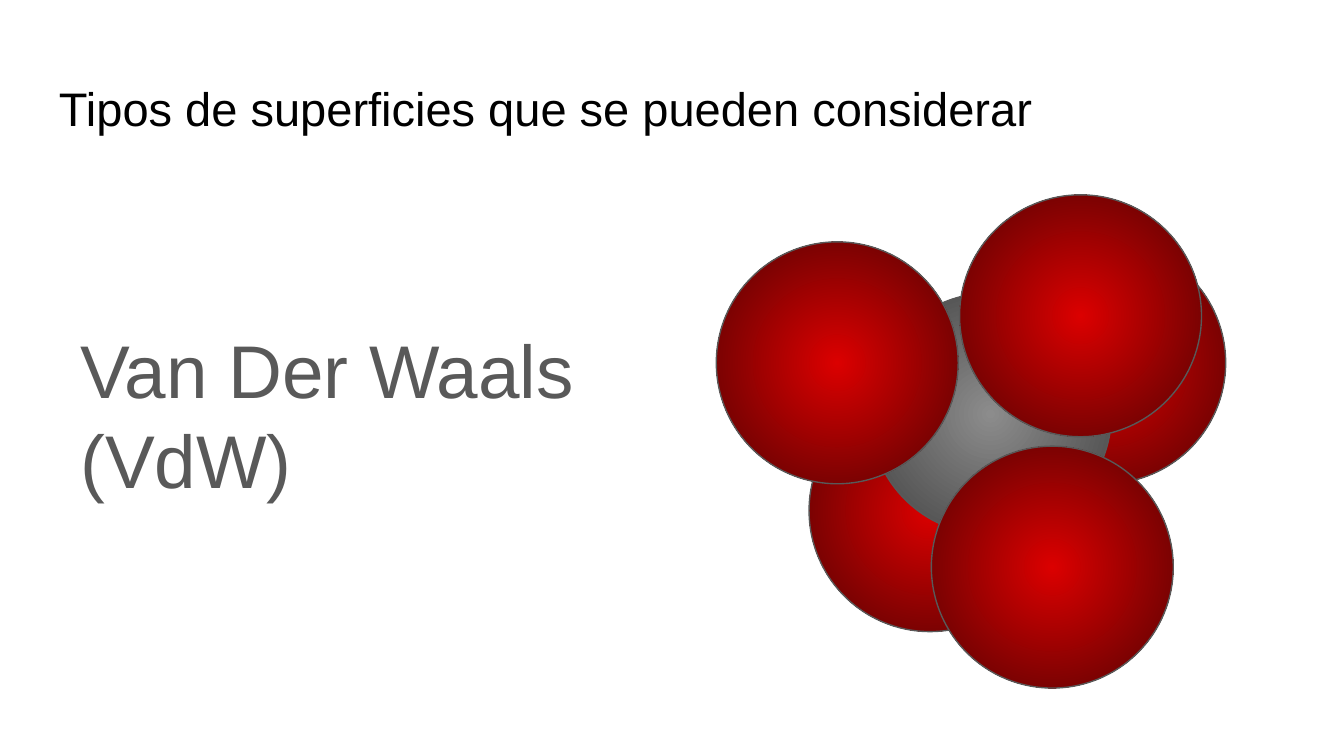
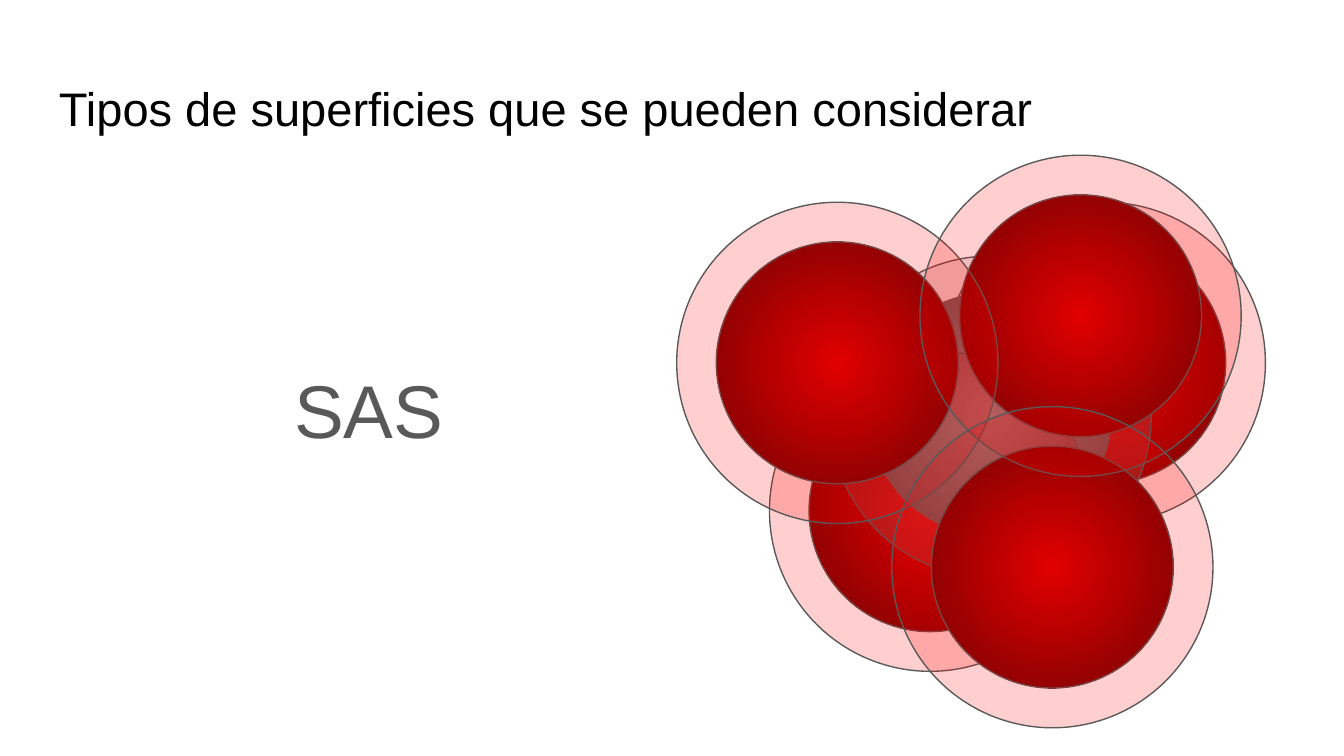
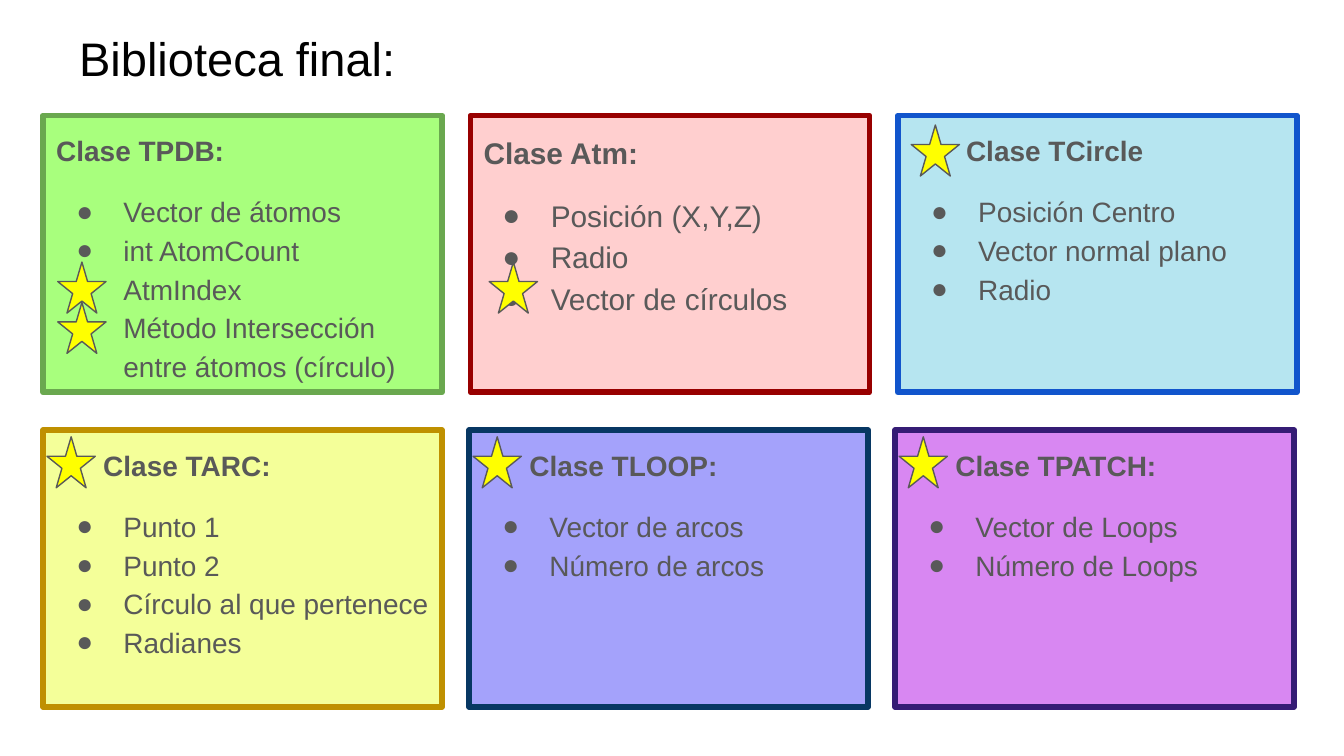
from lxml.etree import SubElement
from pptx import Presentation
from pptx.dml.color import RGBColor
from pptx.enum.shapes import MSO_SHAPE
from pptx.enum.text import MSO_ANCHOR, PP_ALIGN
from pptx.oxml.ns import qn
from pptx.util import Pt

PX = 9144  # 100 px to the inch
FONT = "Arial"
BLACK, GRAY, YELLOW, RED = "000000", "595959", "FFFF00", "FF0000"
INSET = 10

# Molecule: centre of each atom, and (inner, outer) gradient colours
ATOMS = {
    "right": (822, 270),
    "lower left": (692, 380),
    "carbon": (737, 308),
    "bottom": (783, 422),
    "left": (623, 270),
    "top": (804, 235),
}
OXYGEN_COLORS = ("DB0000", "540303")
CARBON_COLORS = ("8C8C8C", "404040")
ATOM_SIZE, HALO_SIZE = 180, 239
CARBON_HALO_DROP = 2

# Surface slides: label, its box, and the drawing order of (part, atom)
SURFACE_TITLE = "Tipos de superficies que se pueden considerar"
VDW_BOX = (50, 231, 412, 158)
SAS_BOX = (209, 261, 132, 81)
VDW_PARTS = [("atom", name) for name in ATOMS]
SAS_PARTS = [
    ("atom", "right"), ("halo", "right"),
    ("atom", "lower left"), ("atom", "carbon"),
    ("halo", "carbon"), ("halo", "lower left"),
    ("atom", "bottom"), ("atom", "left"), ("atom", "top"),
    ("halo", "left"), ("halo", "top"), ("halo", "bottom"),
]

# Class cards: heading, heading indent, text size, (fill, opacity), border,
# items, star offsets from the card corner
CARD_ROWS = [
    (86, 318, [
        ("Clase TPDB:", 0, 15, ("7BFF3A", 66), "6AA84F",
         ["Vector de átomos", "int AtomCount", "AtmIndex",
          "Método Intersección entre átomos (círculo)"],
         [(11, 139), (11, 109)]),
        ("Clase Atm:", 0, 16, (RED, 19), "980000",
         ["Posición (X,Y,Z)", "Radio", "Vector de círculos"],
         [(14, 109)]),
        ("Clase TCircle", 41, 15, ("4ABFDA", 40), "1155CC",
         ["Posición Centro", "Vector normal plano", "Radio"],
         [(10, 7)]),
    ]),
    (320, 317, [
        ("Clase TARC:", 35, 15, ("F0FF67", 67), "BF9000",
         ["Punto 1", "Punto 2", "Círculo al que pertenece", "Radianes"],
         [(3, 5)]),
        ("Clase TLOOP:", 35, 15, ("3F3AF7", 47), "073763",
         ["Vector de arcos", "Número de arcos"],
         [(3, 5)]),
        ("Clase TPATCH:", 35, 15, ("C54DED", 67), "351C75",
         ["Vector de Loops", "Número de Loops"],
         [(3, 5)]),
    ]),
]
CARD_LEFT, CARD_WIDTH, CARD_HEIGHT = 32, 297, 206
STAR_SIZE = (36, 38)


def emu(px):
    return int(px * PX)


def rgb(color):
    return RGBColor.from_string(color)


def style_font(para, size, color, bold=False):
    for span in para.runs:
        span.font.name = FONT
        span.font.size = Pt(size)
        span.font.bold = bold
        span.font.color.rgb = rgb(color)


def prepare_frame(frame, right_inset=INSET):
    frame.word_wrap = True
    frame.vertical_anchor = MSO_ANCHOR.TOP
    frame.margin_left = frame.margin_top = frame.margin_bottom = emu(INSET)
    frame.margin_right = emu(right_inset)


def add_text(page, area, text, size, color):
    box = page.shapes.add_textbox(*map(emu, area))
    prepare_frame(box.text_frame)
    box.text_frame.text = text
    style_font(box.text_frame.paragraphs[0], size, color)


def add_title(page, text, left, top):
    add_text(page, (left, top, 932, 63), text, 25.2, BLACK)


def add_outlined(shapes, kind, area, line=GRAY, width=0.75):
    shape = shapes.add_shape(kind, *map(emu, area))
    shape.shadow.inherit = False
    shape.line.color.rgb = rgb(line)
    shape.line.width = Pt(width)
    return shape


def fill_solid(shape, color, opacity=100):
    shape.fill.solid()
    shape.fill.fore_color.rgb = rgb(color)
    if opacity < 100:
        tone = shape.element.spPr.find(f"{qn('a:solidFill')}/{qn('a:srgbClr')}")
        SubElement(tone, qn("a:alpha"), val=str(opacity * 1000))


def fill_radial(shape, colors):
    shape.fill.gradient()
    for stop, color in zip(shape.fill.gradient_stops, colors):
        stop.color.rgb = rgb(color)
    gradient = shape.element.spPr.find(qn("a:gradFill"))
    gradient.remove(gradient.find(qn("a:lin")))
    circle = SubElement(gradient, qn("a:path"), path="circle")
    SubElement(circle, qn("a:fillToRect"), l="50000", t="50000", r="50000", b="50000")


def add_ball(shapes, part, name):
    size = ATOM_SIZE if part == "atom" else HALO_SIZE
    x, y = ATOMS[name]
    if (part, name) == ("halo", "carbon"):
        y += CARBON_HALO_DROP
    ball = add_outlined(shapes, MSO_SHAPE.OVAL, (x - size / 2, y - size / 2, size, size))
    if part == "atom":
        fill_radial(ball, CARBON_COLORS if name == "carbon" else OXYGEN_COLORS)
    elif name == "carbon":
        fill_solid(ball, "9D9D9D", 20)
    else:
        fill_solid(ball, RED, 19)


def add_surface_page(deck, label, area, parts, grouped):
    page = deck.slides.add_slide(deck.slide_layouts[6])
    add_title(page, SURFACE_TITLE, 34, 49)
    shapes = page.shapes.add_group_shape().shapes if grouped else page.shapes
    for part, name in parts:
        add_ball(shapes, part, name)
    add_text(page, area, label, 40, GRAY)


def indent(para, left, first=0):
    properties = para._p.get_or_add_pPr()
    properties.set("marL", str(emu(left)))
    properties.set("indent", str(emu(first)))
    return properties


def add_bullet(para, size):
    properties = indent(para, 50, -36 if size == 16 else -35)
    tone = SubElement(properties, qn("a:buClr"))
    SubElement(tone, qn("a:srgbClr"), val=GRAY)
    SubElement(properties, qn("a:buFont"), typeface=FONT)
    SubElement(properties, qn("a:buChar"), char="●")


def add_card(page, left, top, heading, heading_indent, size, fill, border, items, stars):
    card = add_outlined(page.shapes, MSO_SHAPE.RECTANGLE,
                        (left, top, CARD_WIDTH, CARD_HEIGHT), border, 3)
    fill_solid(card, *fill)
    frame = card.text_frame
    prepare_frame(frame, right_inset=8)
    frame.text = "\n".join([heading, *items])
    for number, para in enumerate(frame.paragraphs):
        if number == 0:
            indent(para, heading_indent)
        else:
            add_bullet(para, size)
        para.alignment = PP_ALIGN.LEFT
        para.line_spacing = 1.15
        if number == 1:
            para.space_before = Pt(12)
        style_font(para, size, GRAY, bold=number == 0)
    for dx, dy in stars:
        star = add_outlined(page.shapes, MSO_SHAPE.STAR_5_POINT,
                            (left + dx, top + dy, *STAR_SIZE))
        fill_solid(star, YELLOW)


def add_library_page(deck):
    page = deck.slides.add_slide(deck.slide_layouts[6])
    add_title(page, "Biblioteca final:", 49, 12)
    for top, step, cards in CARD_ROWS:
        for column, card in enumerate(cards):
            add_card(page, CARD_LEFT + column * step, top, *card)


def main():
    deck = Presentation()
    deck.slide_width = emu(1000)
    deck.slide_height = deck.slide_width * 9 // 16
    add_surface_page(deck, "Van Der Waals (VdW)", VDW_BOX, VDW_PARTS, grouped=True)
    add_surface_page(deck, "SAS", SAS_BOX, SAS_PARTS, grouped=False)
    add_library_page(deck)
    deck.save("out.pptx")


if __name__ == "__main__":
    main()
